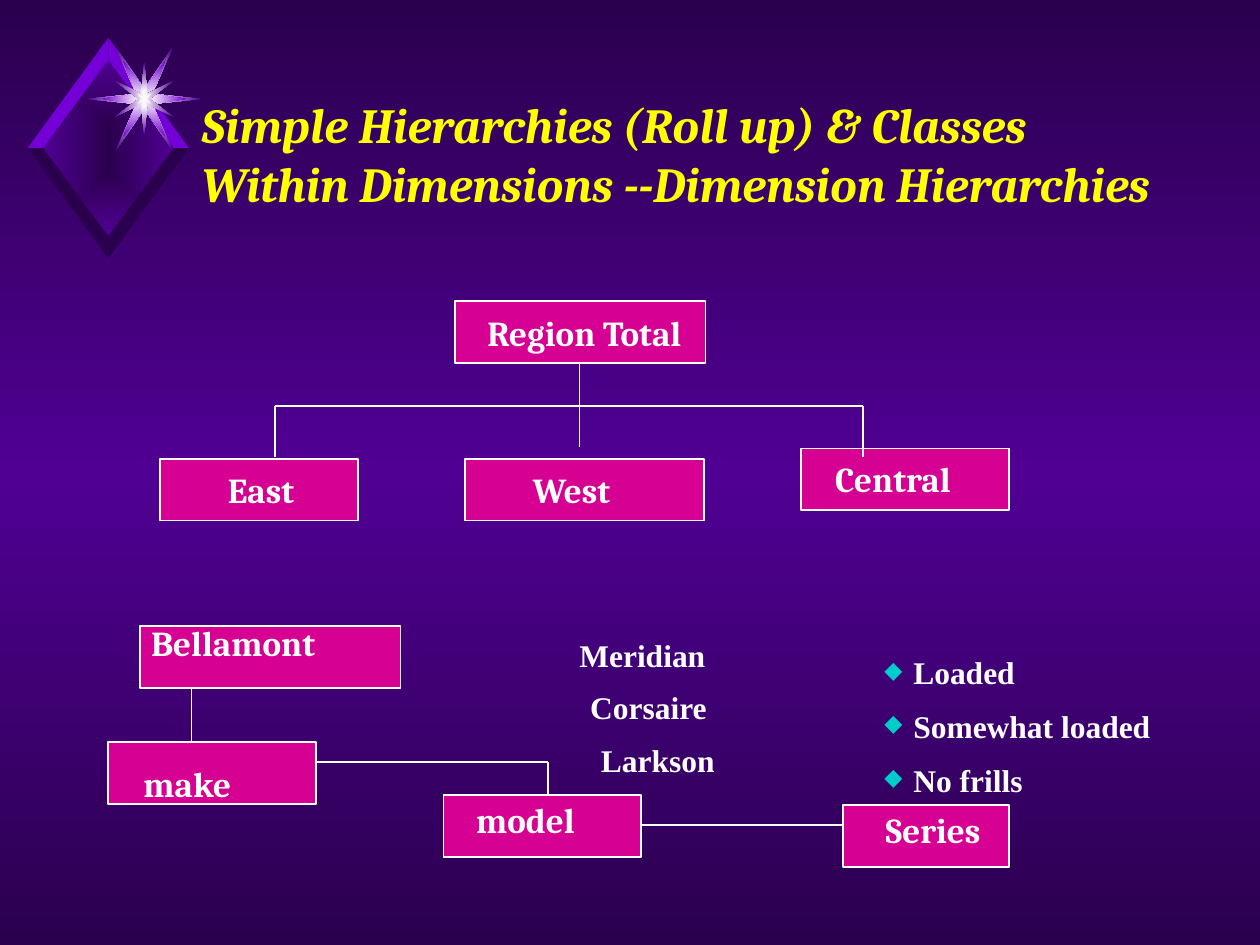
from dataclasses import dataclass
from itertools import product
from math import atan2

from lxml import etree
from pptx import Presentation
from pptx import util as u
from pptx.dml.color import RGBColor
from pptx.enum import shapes, text
from pptx.oxml import parse_xml
from pptx.oxml.ns import nsdecls, qn

COLUMNS, ROWS = 100, 75
CELL = u.Inches(0.1)
TITLE_ONLY = 5
NODE_HEIGHT, LABEL_HEIGHT = 4.9, 4.3


@dataclass(frozen=True)
class Theme:
    dark: str = "2A004E"
    middle: str = "500093"
    bright: str = "7500D7"
    node: str = "D60093"
    white: str = "FFFFFF"
    spark: str = "F9F9F9"
    title: str = "FFFF00"
    bullet: str = "00CCCC"
    heading_font: str = "Cambria"
    body_font: str = "Times New Roman"
    title_size: int = 28
    node_size: int = 20
    body_size: int = 18


THEME = Theme()


@dataclass(frozen=True)
class Box:
    """A rectangle in grid cells."""
    left: float
    top: float
    width: float
    height: float

    def inside(self, x, y, width, height):
        return Box(self.left + x, self.top + y, width, height)

    def point(self, x, y):
        return cells(self.left + x), cells(self.top + y)

    def emu(self):
        return [cells(n) for n in (self.left, self.top, self.width, self.height)]


def cells(count):
    return u.Emu(round(count * CELL))


def style_runs(paragraph, font, size, color, italic=False):
    for run in paragraph.runs:
        run.font.name, run.font.size = font, u.Pt(size)
        run.font.bold, run.font.italic = True, italic
        run.font.color.rgb = RGBColor.from_string(color)


def use_gradient(parent, stops, direction):
    """Replace the solid fill of parent with a gradient."""
    stop_xml = "".join(
        f'<a:gs pos="{share * 1000}"><a:srgbClr val="{color}"/></a:gs>' for share, color in stops)
    gradient = parse_xml(
        f'<a:gradFill {nsdecls("a")} rotWithShape="1"><a:gsLst>{stop_xml}</a:gsLst>'
        f'{direction}</a:gradFill>')
    parent.replace(parent.find(qn("a:solidFill")), gradient)


def paint_background(slide):
    slide.background.fill.solid()
    slide.background.fill.fore_color.rgb = RGBColor.from_string(THEME.dark)
    stops = [(0, THEME.dark), (50, THEME.middle), (100, THEME.dark)]
    use_gradient(slide.element.find(".//" + qn("p:bgPr")), stops, '<a:lin ang="5400000" scaled="1"/>')


def add_polygon(slide, points, color, edge_color=None):
    """Fill a polygon plainly, or from color at its centre to edge_color."""
    builder = slide.shapes.build_freeform(*points[0], scale=1.0)
    builder.add_line_segments(points[1:], close=True)
    shape = builder.convert_to_shape()
    shape.shadow.inherit = False
    shape.line.fill.background()
    shape.fill.solid()
    shape.fill.fore_color.rgb = RGBColor.from_string(color)
    if edge_color:
        centre = '<a:fillToRect l="50000" t="50000" r="50000" b="50000"/>'
        use_gradient(shape.element.spPr, [(0, color), (100, edge_color)],
                     f'<a:path path="rect">{centre}</a:path>')


def mirrored(quadrant):
    """Reflect one quadrant's corners into all four, in order around the centre."""
    corners = {(x * sx, y * sy) for x, y in quadrant for sx, sy in product((1, -1), repeat=2)}
    return sorted(corners, key=lambda corner: atan2(corner[1], corner[0]))


def add_ornament(slide, box):
    middle_x, middle_y = box.width / 2, box.height / 2
    inner_x, inner_y = 0.81 * middle_x, 0.8 * middle_y

    def place(points, x=middle_x, y=middle_y):
        return [box.point(x + dx, y + dy) for dx, dy in points]

    add_polygon(slide, place(mirrored([(inner_x, 0), (0, inner_y)])), THEME.dark, THEME.middle)
    for side_y, side_x in product((-1, 1), (1, -1)):
        band = [(0, side_y * middle_y), (side_x * middle_x, 0),
                (side_x * inner_x, 0), (0, side_y * inner_y)]
        add_polygon(slide, place(band), THEME.bright if side_y < 0 else THEME.dark)

    notches = [(0.65, 0.4), (0, 0.8)]
    stars = [
        ([(4.55, 0), (2.25, 4.1), *notches], THEME.white, THEME.middle),
        ([(3.35, 0), (1.65, 3), *notches], THEME.white, THEME.bright),
        ([(0.45, 0), (2.35, 1.45), (0.25, 0.4), (0, 2.9)], THEME.white, THEME.middle),
        ([(0.2, 0), (0.55, 0.4), (0.1, 0.2), (0, 0.7)], THEME.spark, None),
    ]
    for quadrant, color, edge_color in stars:
        add_polygon(slide, place(mirrored(quadrant), 9.25, 4.85), color, edge_color)


def set_title(slide, box, words):
    title = slide.shapes.title
    title.left, title.top, title.width, title.height = box.emu()
    frame = title.text_frame
    frame.text = words
    frame.word_wrap, frame.auto_size = True, text.MSO_AUTO_SIZE.NONE
    frame.vertical_anchor = text.MSO_ANCHOR.MIDDLE
    frame.paragraphs[0].alignment = text.PP_ALIGN.LEFT
    style_runs(frame.paragraphs[0], THEME.heading_font, THEME.title_size, THEME.title, italic=True)


def add_text(slide, box, words, font, size):
    frame = slide.shapes.add_textbox(*box.emu()).text_frame
    frame.text = words
    frame.word_wrap = True
    for paragraph in frame.paragraphs:
        style_runs(paragraph, font, size, THEME.white)
    return frame


def add_node(slide, box, label, label_x, label_y, label_width):
    shape = slide.shapes.add_shape(shapes.MSO_SHAPE.RECTANGLE, *box.emu())
    shape.shadow.inherit = False
    shape.fill.solid()
    shape.fill.fore_color.rgb = RGBColor.from_string(THEME.node)
    shape.line.color.rgb = RGBColor.from_string(THEME.white)
    shape.line.width = u.Pt(1)
    add_text(slide, box.inside(label_x, label_y, label_width, LABEL_HEIGHT), label,
             THEME.heading_font, THEME.node_size)


def add_line(slide, start, end):
    line = slide.shapes.add_connector(shapes.MSO_CONNECTOR.STRAIGHT, *start, *end)
    line.line.color.rgb = RGBColor.from_string(THEME.white)
    line.line.width = u.Pt(1)
    etree.SubElement(line.element.spPr, qn("a:effectLst"))


def add_diagram(slide, box, nodes, lines):
    for x, y, width, *label in nodes:
        add_node(slide, box.inside(x, y, width, NODE_HEIGHT), *label)
    for x1, y1, x2, y2 in lines:
        add_line(slide, box.point(x1, y1), box.point(x2, y2))


def add_region_tree(slide, box):
    bar, stem, east, central = 8.3, 33.3, 9.1, 55.8
    add_diagram(slide, box, [
        (23.4, 0, 19.9, "Region Total", 1.6, 0.3, 19.7),
        (0, 12.5, 15.7, "East", 4.4, 0.3, 8),
        (24.2, 12.5, 19, "West", 4.4, 0.3, 9.1),
        (50.9, 11.7, 16.5, "Central", 1.7, 0.2, 12.6),
    ], [
        (east, bar, central, bar),
        (east, bar, east, 12.4),
        (stem, NODE_HEIGHT, stem, 11.6),
        (central, bar, central, 12.4),
    ])


def add_vehicle_levels(slide, box):
    add_diagram(slide, box, [
        (2.5, 0, 20.7, "Bellamont", -0.1, -0.9, 20.8),
        (0, 9.2, 16.5, "make", 1.8, 1.1, 9.8),
        (26.6, 13.4, 15.7, "model", 1.6, -0.2, 12.5),
        (58.3, 14.2, 13.2, "Series", 2.4, -0.2, 10),
    ], [
        (6.6, NODE_HEIGHT, 6.6, 9.2),
        (16.5, 10.8, 34.9, 10.8),
        (34.9, 10.8, 34.9, 13.4),
        (42.3, 15.8, 58.3, 15.8),
    ])
    for row, model in enumerate(["Meridian", "Corsaire", "Larkson"]):
        add_text(slide, box.inside(36.4 + 0.85 * row, 0.3 + 4.15 * row, 15.8, 4), model,
                 THEME.body_font, THEME.body_size)
    add_trim_list(slide, box.inside(60.6, 2, 27.5, 12.3))


def add_trim_list(slide, box):
    frame = add_text(slide, box, "Loaded\nSomewhat loaded\nNo frills",
                     THEME.body_font, THEME.body_size)
    for paragraph in frame.paragraphs:
        paragraph.line_spacing, paragraph.space_before = 0.9, u.Pt(11.2)
        properties = paragraph._p.get_or_add_pPr()
        properties.set("marL", str(cells(2.3)))
        properties.set("indent", str(cells(-2.3)))
        color = etree.SubElement(properties, qn("a:buClr"))
        etree.SubElement(color, qn("a:srgbClr"), val=THEME.bullet)
        etree.SubElement(properties, qn("a:buSzPct"), val="75000")
        etree.SubElement(properties, qn("a:buChar"), char="◆")


def main():
    presentation = Presentation()
    presentation.slide_width, presentation.slide_height = cells(COLUMNS), cells(ROWS)
    slide = presentation.slides.add_slide(presentation.slide_layouts[TITLE_ONLY])
    paint_background(slide)
    add_ornament(slide, Box(2.2, 3, 12.8, 17.5))
    set_title(slide, Box(15, 5.2, 77.5, 14),
              "Simple Hierarchies (Roll up) & Classes Within Dimensions --Dimension Hierarchies")
    add_region_tree(slide, Box(12.7, 23.9, 67.4, 17.4))
    add_vehicle_levels(slide, Box(8.6, 49.7, 88.1, 19.1))
    presentation.save("out.pptx")


if __name__ == "__main__":
    main()
